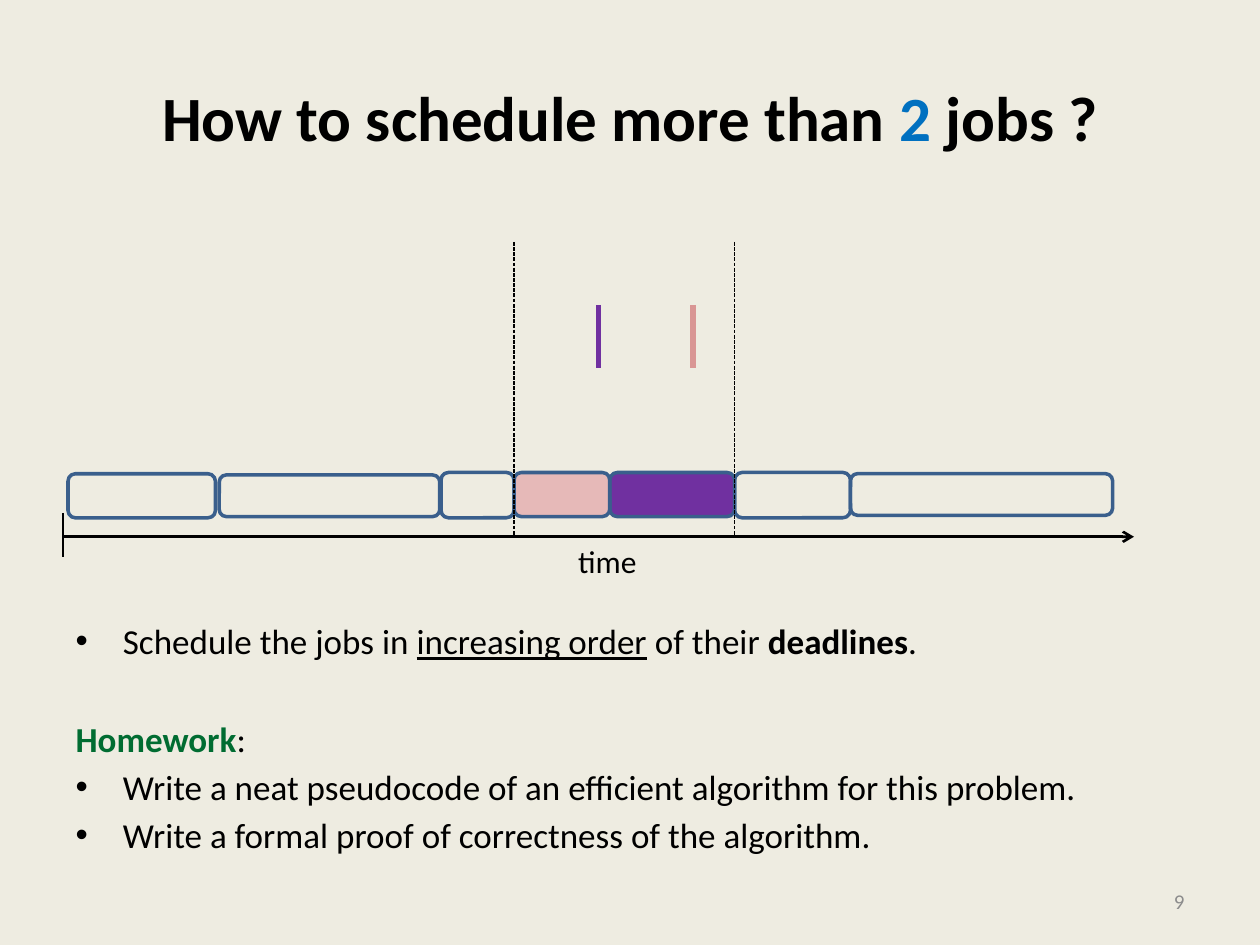
import lxml.etree
import pptx
import pptx.dml.color
import pptx.enum.dml
import pptx.enum.shapes
import pptx.enum.text
import pptx.oxml.ns
import pptx.util

Inches = pptx.util.Inches
Pt = pptx.util.Pt
RGBColor = pptx.dml.color.RGBColor
Align = pptx.enum.text.PP_ALIGN
Anchor = pptx.enum.text.MSO_ANCHOR
qn = pptx.oxml.ns.qn

CREAM = RGBColor(0xEE, 0xEC, 0xE1)
BLACK = RGBColor(0, 0, 0)
BLUE = RGBColor(0x00, 0x70, 0xC0)
GREEN = RGBColor(0x00, 0x6C, 0x31)
GRAY = RGBColor(0x8C, 0x8C, 0x8C)
OUTLINE = RGBColor(0x3A, 0x5F, 0x8C)
PURPLE = RGBColor(0x70, 0x30, 0xA0)
PINK = RGBColor(0xE6, 0xB9, 0xB8)
ROSE = RGBColor(0xD9, 0x96, 0x94)

AXIS_LEFT, AXIS_RIGHT, AXIS_TOP = 0.5, 9, 4.26
PAIR_START, PAIR_END = 4.08, 5.83


class SlideBuilder:
    font = "Calibri"

    def __init__(self, presentation):
        self.slide = presentation.slides.add_slide(presentation.slide_layouts[1])
        self.slide.background.fill.solid()
        self.slide.background.fill.fore_color.rgb = CREAM

    def place(self, shape, left, top, width, height):
        shape.left, shape.top = Inches(left), Inches(top)
        shape.width, shape.height = Inches(width), Inches(height)

    def add_runs(self, paragraph, runs, size):
        for text, color, bold, underline in runs:
            run = paragraph.add_run()
            run.text = text
            run.font.name = self.font
            run.font.size = Pt(size)
            run.font.color.rgb = color
            run.font.bold = bold
            run.font.underline = underline

    def title(self, runs):
        shape = self.slide.shapes.title
        self.place(shape, 0.5, 0.3, 9, 1.25)
        frame = shape.text_frame
        frame.vertical_anchor = Anchor.MIDDLE
        paragraph = frame.paragraphs[0]
        paragraph.alignment = Align.CENTER
        self.add_runs(paragraph, runs, 36)

    def body(self, items):
        shape = self.slide.placeholders[1]
        self.place(shape, 0.5, 4.87, 9, 1.83)
        frame = shape.text_frame
        frame.auto_size = pptx.enum.text.MSO_AUTO_SIZE.NONE
        for index, (runs, bulleted, space_before) in enumerate(items):
            paragraph = frame.add_paragraph() if index else frame.paragraphs[0]
            paragraph.space_before = Pt(space_before)
            if not bulleted:
                properties = paragraph._p.get_or_add_pPr()
                properties.set("marL", "0")
                properties.set("indent", "0")
                lxml.etree.SubElement(properties, qn("a:buNone"))
            self.add_runs(paragraph, runs, 20)

    def label(self, text, left, top, width, height, size, color,
              align=Align.LEFT, anchor=Anchor.TOP, wrap=True):
        shape = self.slide.shapes.add_textbox(
            Inches(left), Inches(top), Inches(width), Inches(height))
        frame = shape.text_frame
        frame.word_wrap = wrap
        frame.vertical_anchor = anchor
        frame.paragraphs[0].alignment = align
        self.add_runs(frame.paragraphs[0], [(text, color, False, False)], size)

    def job(self, left, top, width, height, fill=None):
        shape = self.slide.shapes.add_shape(
            pptx.enum.shapes.MSO_SHAPE.ROUNDED_RECTANGLE,
            Inches(left), Inches(top), Inches(width), Inches(height))
        shape.shadow.inherit = False
        if fill is None:
            shape.fill.background()
        else:
            shape.fill.solid()
            shape.fill.fore_color.rgb = fill
        shape.line.color.rgb = OUTLINE
        shape.line.width = Pt(2)

    def line(self, start, end, color, width, dashed=False, arrow=False):
        connector = self.slide.shapes.add_connector(
            pptx.enum.shapes.MSO_CONNECTOR.STRAIGHT,
            Inches(start[0]), Inches(start[1]), Inches(end[0]), Inches(end[1]))
        connector.line.color.rgb = color
        connector.line.width = Pt(width)
        if dashed:
            connector.line.dash_style = pptx.enum.dml.MSO_LINE.SQUARE_DOT
        properties = connector._element.spPr
        if arrow:
            lxml.etree.SubElement(properties.find(qn("a:ln")), qn("a:tailEnd"), type="arrow")
        lxml.etree.SubElement(properties, qn("a:effectLst"))


def plain(text):
    return text, BLACK, False, False


def main():
    presentation = pptx.Presentation()
    presentation.slide_width = Inches(10)
    presentation.slide_height = Inches(7.5)
    builder = SlideBuilder(presentation)

    builder.title([
        ("How to schedule more than ", BLACK, True, False),
        ("2", BLUE, True, False),
        (" jobs ?", BLACK, True, False),
    ])
    builder.body([
        ([plain("Schedule the jobs in "),
          ("increasing order", BLACK, False, True),
          plain(" of their "),
          ("deadlines", BLACK, True, False),
          plain(".")], True, 0),
        ([("Homework", GREEN, True, False), plain(":")], False, 31.6),
        ([plain("Write a neat pseudocode of an efficient algorithm for this problem.")], True, 3.6),
        ([plain("Write a formal proof of correctness of the algorithm.")], True, 3.6),
    ])
    builder.label("9", 7.17, 6.95, 2.33, 0.4, 12, GRAY, Align.RIGHT, Anchor.MIDDLE)

    for job in [
        (0.54, 3.76, 1.17, 0.35),
        (6.75, 3.76, 2.08, 0.33),
        (1.74, 3.77, 1.75, 0.33),
        (3.5, 3.75, 0.58, 0.36),
        (4.84, 3.75, 0.99, 0.35, PURPLE),
        (PAIR_START, 3.75, 0.76, 0.35, PINK),
        (PAIR_END, 3.75, 0.92, 0.36),
    ]:
        builder.job(*job)

    for boundary in (PAIR_START, PAIR_END):
        builder.line((boundary, 1.92), (boundary, AXIS_TOP), BLACK, 0.75, dashed=True)
    builder.line((AXIS_LEFT, AXIS_TOP), (AXIS_RIGHT, AXIS_TOP), BLACK, 1.5, arrow=True)
    builder.line((AXIS_LEFT, 4.07), (AXIS_LEFT, 4.42), BLACK, 1.5)
    builder.label("time", 4.49, 4.25, 0.67, 0.4, 18, BLACK, wrap=False)
    for deadline, color in ((5.5, ROSE), (4.75, PURPLE)):
        builder.line((deadline, 2.42), (deadline, 2.92), color, 3)

    presentation.save("out.pptx")


if __name__ == "__main__":
    main()
